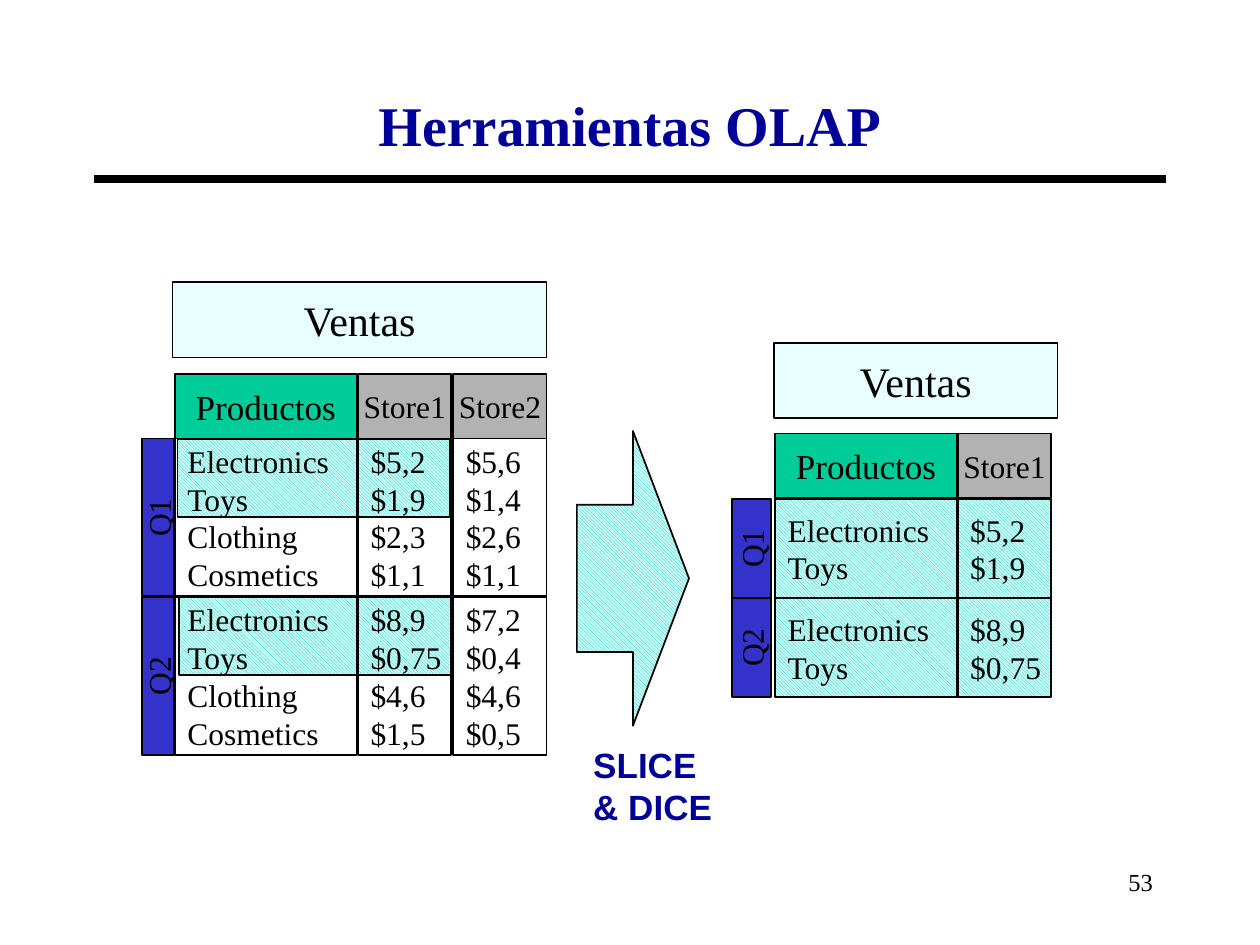
from dataclasses import dataclass

from lxml import etree
from pptx import Presentation
from pptx.dml.color import RGBColor
from pptx.enum.dml import MSO_PATTERN
from pptx.enum.shapes import MSO_CONNECTOR, MSO_SHAPE
from pptx.enum.text import MSO_ANCHOR, MSO_AUTO_SIZE, PP_ALIGN
from pptx.oxml.ns import qn
from pptx.util import Cm, Pt

LEFT, CENTER, RIGHT = PP_ALIGN.LEFT, PP_ALIGN.CENTER, PP_ALIGN.RIGHT
TOP, MIDDLE = MSO_ANCHOR.TOP, MSO_ANCHOR.MIDDLE
RECTANGLE, RIGHT_ARROW = MSO_SHAPE.RECTANGLE, MSO_SHAPE.RIGHT_ARROW
HATCH = MSO_PATTERN.LIGHT_DOWNWARD_DIAGONAL

BLACK = RGBColor(0x00, 0x00, 0x00)
NAVY = RGBColor(0x00, 0x00, 0x99)
BLUE = RGBColor(0x33, 0x33, 0xCC)
GREEN = RGBColor(0x00, 0xCC, 0x99)
GRAY = RGBColor(0xB2, 0xB2, 0xB2)
PALE = RGBColor(0xE9, 0xFE, 0xFF)
AQUA = RGBColor(0xCC, 0xFF, 0xFF)

SERIF, SANS = "Times New Roman", "Arial"
HEADER_HEIGHT = 1.3
COLUMN_WIDTHS = (3.66, 1.88, 1.88)


@dataclass
class Area:
    """A rectangle in centimetres."""
    left: float
    top: float
    width: float
    height: float

    def lengths(self):
        return Cm(self.left), Cm(self.top), Cm(self.width), Cm(self.height)


@dataclass
class Quarter:
    name: str
    top: float
    columns: list[str]


@dataclass
class Cube:
    """A sales grid: caption, column headers and one row per quarter."""
    caption: Area
    headers: list[str]
    header_top: float
    column_lefts: list[float]
    row_height: float
    label_left: float
    label_width: float
    hatched: bool
    quarters: list[Quarter]


def write(frame, text: str, *, size=18, font=SERIF, color=BLACK, bold=False,
          align=LEFT, anchor=TOP, wrap=True) -> None:
    frame.word_wrap = wrap
    frame.vertical_anchor = anchor
    para = frame.paragraphs[0]
    para.text = text.replace("\n", "\v")
    para.alignment = align
    for span in para.runs:
        span.font.size = Pt(size)
        span.font.name = font
        span.font.bold = bold
        span.font.color.rgb = color


def add_text(page, area: Area, text: str, **style):
    box = page.shapes.add_textbox(*area.lengths())
    write(box.text_frame, text, **style)
    return box


def add_block(page, area: Area, text="", *, kind=RECTANGLE, color=None,
              hatched=False, **style):
    block = page.shapes.add_shape(kind, *area.lengths())
    block.shadow.inherit = False
    block.line.color.rgb = BLACK
    block.line.width = Pt(1)
    if hatched:
        block.fill.patterned()
        block.fill.pattern = HATCH
        block.fill.fore_color.rgb = GREEN
        block.fill.back_color.rgb = AQUA
    elif color is None:
        block.fill.background()
    else:
        block.fill.solid()
        block.fill.fore_color.rgb = color
    if text:
        write(block.text_frame, text, anchor=MIDDLE, wrap=False, **style)
    return block


def add_quarter_label(page, cube: Cube, quarter: Quarter) -> None:
    # The label is laid out flat around its centre, then turned upright
    length, depth = cube.row_height, cube.label_width
    left = cube.label_left + (depth - length) / 2
    top = quarter.top + (length - depth) / 2
    label = add_block(page, Area(left, top, length, depth), quarter.name,
                      color=BLUE, align=CENTER)
    label.rotation = 270


def add_cube(page, cube: Cube) -> None:
    add_block(page, cube.caption, "Ventas", color=PALE, size=24, align=CENTER)
    columns = list(zip(cube.column_lefts, COLUMN_WIDTHS))
    for quarter in cube.quarters:
        add_quarter_label(page, cube, quarter)
        for (left, width), text in zip(columns, quarter.columns):
            add_block(page, Area(left, quarter.top, width, cube.row_height),
                      text, hatched=cube.hatched)
    for index, ((left, width), text) in enumerate(zip(columns, cube.headers)):
        add_block(page, Area(left, cube.header_top, width, HEADER_HEIGHT), text,
                  color=GRAY if index else GREEN, size=18 if index else 20,
                  align=CENTER)


FULL_CUBE = Cube(
    caption=Area(3.48, 5.69, 7.54, 1.52),
    headers=["Productos", "Store1", "Store2"], header_top=7.54,
    column_lefts=[3.53, 7.22, 9.14], row_height=3.18,
    label_left=2.87, label_width=0.64, hatched=False,
    quarters=[
        Quarter("Q1", 8.84, ["Electronics\nToys\nClothing\nCosmetics",
                             "$5,2\n$1,9\n$2,3\n$1,1",
                             "$5,6\n$1,4\n$2,6\n$1,1"]),
        Quarter("Q2", 12.04, ["Electronics\nToys\nClothing\nCosmetics",
                              "$8,9\n$0,75\n$4,6\n$1,5",
                              "$7,2\n$0,4\n$4,6\n$0,5"]),
    ])

SLICED_CUBE = Cube(
    caption=Area(15.6, 6.91, 5.72, 1.52),
    headers=["Productos", "Store1"], header_top=8.74,
    column_lefts=[15.63, 19.31], row_height=1.99,
    label_left=14.75, label_width=0.79, hatched=True,
    quarters=[Quarter("Q1", 10.06, ["Electronics\nToys", "$5,2\n$1,9"]),
              Quarter("Q2", 12.06, ["Electronics\nToys", "$8,9\n$0,75"])])


def main() -> None:
    deck = Presentation()
    deck.slide_width, deck.slide_height = Cm(25.4), Cm(19.05)
    page = deck.slides.add_slide(deck.slide_layouts[5])

    # Title, rule and page number
    title = page.shapes.title
    title.left, title.top, title.width, title.height = Area(
        1.9, 1.7, 21.6, 3.18).lengths()
    write(title.text_frame, "Herramientas OLAP", size=32, color=NAVY,
          bold=True, align=CENTER)
    rule = page.shapes.add_connector(MSO_CONNECTOR.STRAIGHT, Cm(1.9), Cm(3.61),
                                     Cm(23.5), Cm(3.61))
    rule.line.color.rgb = BLACK
    rule.line.width = Pt(4.5)
    etree.SubElement(rule.element.spPr, qn("a:effectLst"))
    add_text(page, Area(18.21, 17.35, 5.28, 1.27), "53", size=14, align=RIGHT)

    # Highlighted cells lie behind the full cube
    for left, top in ((3.58, 8.86), (3.61, 12.04)):
        add_block(page, Area(left, top, 5.49, 1.57), hatched=True)
    add_cube(page, FULL_CUBE)
    add_cube(page, SLICED_CUBE)

    # Operation that leads from one cube to the other
    add_block(page, Area(11.63, 8.69, 2.26, 5.94), kind=RIGHT_ARROW,
              hatched=True)
    operation = add_text(page, Area(11.71, 14.86, 3.15, 1.96), "SLICE & DICE",
                         size=20, font=SANS, color=NAVY, bold=True)
    operation.text_frame.auto_size = MSO_AUTO_SIZE.SHAPE_TO_FIT_TEXT

    deck.save("out.pptx")


if __name__ == "__main__":
    main()
